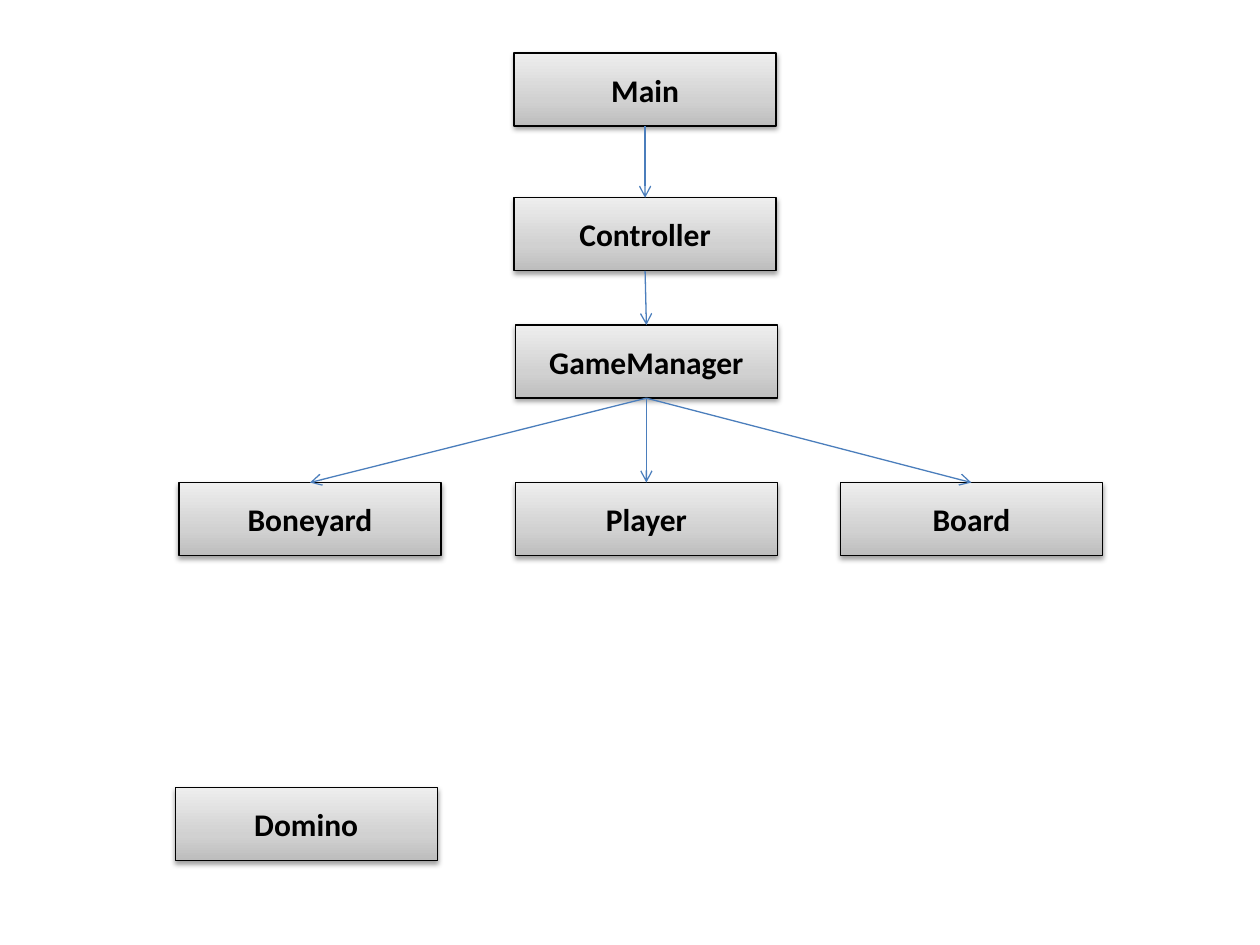
from lxml.etree import SubElement
from pptx import Presentation
from pptx.dml.color import RGBColor
from pptx.enum.shapes import MSO_CONNECTOR, MSO_SHAPE
from pptx.enum.text import MSO_ANCHOR, PP_ALIGN
from pptx.oxml import parse_xml
from pptx.oxml.ns import nsdecls, qn
from pptx.util import Inches, Pt

BLACK = RGBColor(0x00, 0x00, 0x00)
ARROW_BLUE = RGBColor(0x4B, 0x7E, 0xBC)
GREY_STOPS = (
    (0, RGBColor(0xBD, 0xBD, 0xBD)),
    (35, RGBColor(0xD1, 0xD1, 0xD1)),
    (100, RGBColor(0xEE, 0xEE, 0xEE)),
)
BOX_WIDTH, BOX_HEIGHT = 2.08, 0.58
BOTTOM, TOP = 2, 0  # connection sites of a rectangle


class ClassDiagram:
    """Draws class boxes and arrows on one slide in a shared style."""

    font_name = "Calibri"
    font_size = Pt(18)
    line_width = Pt(0.75)

    def __init__(self, slide):
        """Keep the slide to draw on."""
        self.slide = slide

    def box(self, label, left, top):
        """Add a shaded class box with a centred bold label."""
        box = self.slide.shapes.add_shape(
            MSO_SHAPE.RECTANGLE, Inches(left), Inches(top),
            Inches(BOX_WIDTH), Inches(BOX_HEIGHT))
        box.line.color.rgb = BLACK
        box.line.width = self.line_width
        self.shade(box)
        self.drop_shadow(box)
        frame = box.text_frame
        frame.word_wrap = True
        frame.vertical_anchor = MSO_ANCHOR.MIDDLE
        paragraph = frame.paragraphs[0]
        paragraph.text = label
        paragraph.alignment = PP_ALIGN.CENTER
        font = paragraph.font
        font.name, font.size, font.bold = self.font_name, self.font_size, True
        font.color.rgb = BLACK
        return box

    def shade(self, box):
        """Fill a box with the grey gradient, dark at the bottom."""
        stops = "".join(
            f'<a:gs pos="{position * 1000}"><a:srgbClr val="{color}"/></a:gs>'
            for position, color in GREY_STOPS)
        box.fill.gradient()
        gradient = box._element.spPr.find(qn("a:gradFill"))
        gradient.getparent().replace(gradient, parse_xml(
            f'<a:gradFill {nsdecls("a")} rotWithShape="1"><a:gsLst>{stops}'
            '</a:gsLst><a:lin ang="16200000" scaled="0"/></a:gradFill>'))

    def drop_shadow(self, box):
        """Give a box a soft shadow straight below it."""
        box.shadow.inherit = False
        effects = box._element.spPr.find(qn("a:effectLst"))
        effects.append(parse_xml(
            f'<a:outerShdw {nsdecls("a")} blurRad="{Pt(3.1)}" dist="{Pt(1.6)}" '
            f'dir="5400000" rotWithShape="0"><a:srgbClr val="{BLACK}">'
            '<a:alpha val="38000"/></a:srgbClr></a:outerShdw>'))

    def arrow(self, owner, member):
        """Add an arrow from the bottom of one box to the top of another."""
        arrow = self.slide.shapes.add_connector(
            MSO_CONNECTOR.STRAIGHT, 0, 0, 0, 0)
        arrow.begin_connect(owner, BOTTOM)
        arrow.end_connect(member, TOP)
        arrow.line.color.rgb = ARROW_BLUE
        arrow.line.width = self.line_width
        SubElement(arrow.line._ln, qn("a:tailEnd"), type="arrow")
        SubElement(arrow._element.spPr, qn("a:effectLst"))


def main():
    """Build the class diagram slide and save it."""
    presentation = Presentation()
    presentation.slide_width = Inches(10)
    presentation.slide_height = Inches(7.5)
    slide = presentation.slides.add_slide(presentation.slide_layouts[6])
    diagram = ClassDiagram(slide)

    places = {
        "Main": (4.08, 0.42),
        "Controller": (4.08, 1.57),
        "Domino": (1.39, 6.25),
        "Player": (4.09, 3.83),
        "Board": (6.67, 3.83),
        "Boneyard": (1.42, 3.83),
        "GameManager": (4.09, 2.58),
    }
    boxes = {label: diagram.box(label, *place)
             for label, place in places.items()}

    uses = {
        "Main": ["Controller"],
        "Controller": ["GameManager"],
        "GameManager": ["Boneyard", "Player", "Board"],
    }
    for owner, members in uses.items():
        for member in members:
            diagram.arrow(boxes[owner], boxes[member])

    presentation.save("out.pptx")


main()
